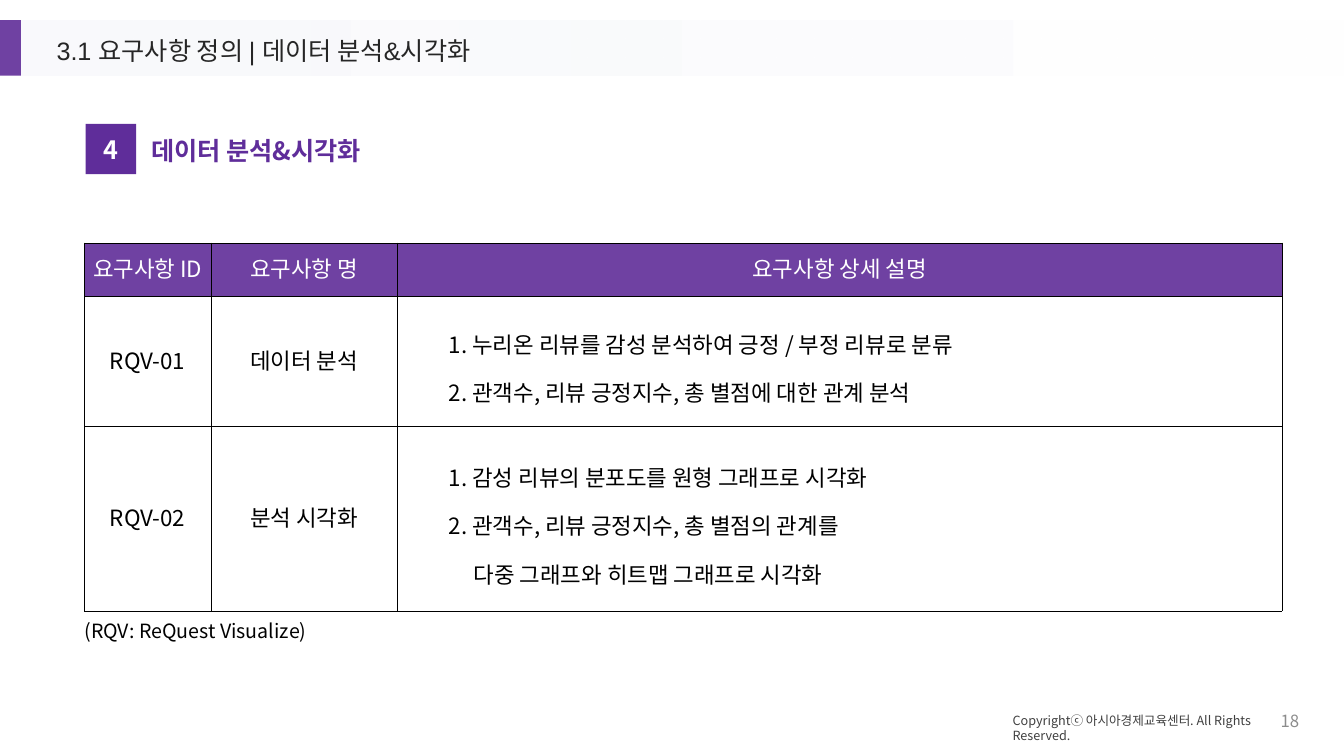
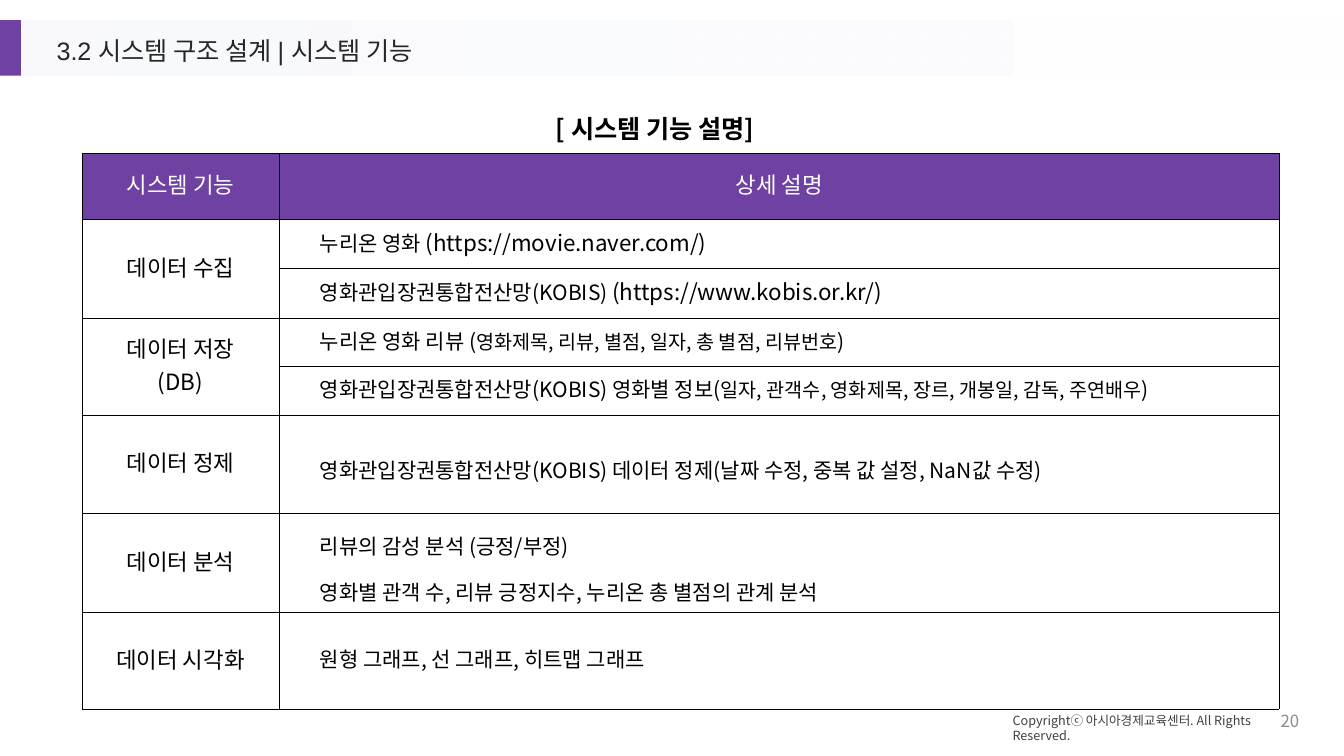
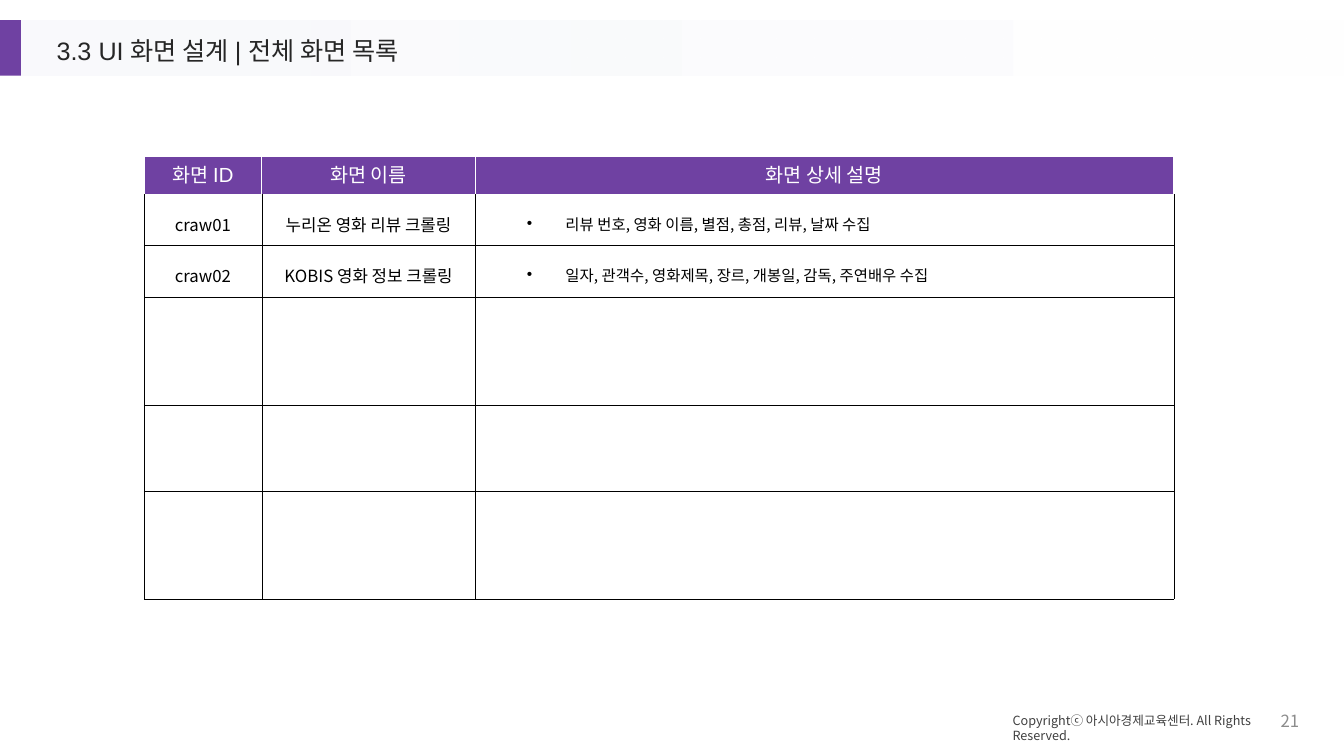
from dataclasses import dataclass

from lxml.etree import SubElement
from pptx import Presentation
from pptx.dml.color import RGBColor
from pptx.enum.shapes import MSO_SHAPE
from pptx.enum.text import MSO_ANCHOR, MSO_AUTO_SIZE, PP_ALIGN
from pptx.oxml.ns import qn
from pptx.util import Cm, Pt

PURPLE = RGBColor(0x6F, 0x41, 0xA2)
DEEP_PURPLE = RGBColor(0x5F, 0x2D, 0x9A)
PALE_BLUE = RGBColor(0xF6, 0xF7, 0xFB)
WHITE = RGBColor(0xFF, 0xFF, 0xFF)
BLACK = RGBColor(0x00, 0x00, 0x00)
TITLE_GREY = RGBColor(0x26, 0x26, 0x26)
FOOTER_GREY = RGBColor(0x40, 0x40, 0x40)
NUMBER_GREY = RGBColor(0x8C, 0x8C, 0x8C)

KOREAN_FONT = "Noto Sans CJK KR"
TITLE_FONT = "Arial"
SCREEN_HEADER_FONT = "Lato"

THIN_BLACK = (BLACK, 0.25)
WHITE_LINE = (WHITE, 1)
COPYRIGHT = "Copyrightⓒ 아시아경제교육센터. All Rights Reserved."


@dataclass
class Line:
    spans: list
    size: float = 16
    color: RGBColor = BLACK
    font: str = KOREAN_FONT
    bold: bool = False
    align: PP_ALIGN = PP_ALIGN.LEFT
    spacing: float = 1
    indent: float = 0
    hang: float = 0
    bullet: str = ""


def label(text, size=16, **look):
    return Line([(text, size)], size, align=PP_ALIGN.CENTER, **look)


def numbered(text, indent=1.27):
    return Line([(text, 16)], spacing=1.5, indent=indent)


def detail(*spans, spacing=1):
    return Line(list(spans), 15, indent=0.99, spacing=spacing)


def bulleted(text):
    return Line([(text, 11)], 11, spacing=1.5, indent=2.24, hang=0.97, bullet="•")


def write_line(para, line):
    properties = para._p.get_or_add_pPr()
    if line.indent:
        properties.set("marL", str(Cm(line.indent)))
        properties.set("indent", str(-Cm(line.hang)))
    para.alignment = line.align
    para.line_spacing = line.spacing
    if line.bullet:
        SubElement(properties, qn("a:buFont"), typeface="Arial")
        SubElement(properties, qn("a:buChar"), char=line.bullet)
    font = para.font
    font.size = Pt(line.size)
    font.bold = line.bold
    font.color.rgb = line.color
    font.name = line.font
    SubElement(properties.find(qn("a:defRPr")), qn("a:ea"), typeface=KOREAN_FONT)
    for text, size in line.spans:
        span = para.add_run()
        span.text = text
        if size != line.size:
            span.font.size = Pt(size)


def write_lines(frame, lines):
    for index, line in enumerate(lines):
        para = frame.add_paragraph() if index else frame.paragraphs[0]
        write_line(para, line)


def add_text(page, place, line, anchor=MSO_ANCHOR.TOP):
    frame = page.shapes.add_textbox(*map(Cm, place)).text_frame
    frame.word_wrap = True
    frame.vertical_anchor = anchor
    write_lines(frame, [line])


def add_block(page, place, color):
    block = page.shapes.add_shape(MSO_SHAPE.RECTANGLE, *map(Cm, place))
    block.shadow.inherit = False
    block.fill.solid()
    block.fill.fore_color.rgb = color
    block.line.fill.background()
    return block


def add_badge(page, place, text):
    badge = add_block(page, place, DEEP_PURPLE)
    badge.text_frame.vertical_anchor = MSO_ANCHOR.MIDDLE
    write_lines(badge.text_frame, [label(text, 18, color=WHITE, bold=True)])


def set_border(cell, side, line):
    color, width = line
    border = SubElement(cell._tc.get_or_add_tcPr(), qn(f"a:ln{side}"), w=str(Pt(width)))
    fill = SubElement(border, qn("a:solidFill"))
    SubElement(fill, qn("a:srgbClr"), val=str(color))


def add_grid(page, corner, widths, heights, rows, header_line=THIN_BLACK):
    table = page.shapes.add_table(
        len(heights), len(widths), *map(Cm, (*corner, sum(widths), sum(heights)))
    ).table
    table.horz_banding = False
    for column, width in zip(table.columns, widths):
        column.width = Cm(width)
    for row_index, (row, height, contents) in enumerate(zip(table.rows, heights, rows)):
        row.height = Cm(height)
        for cell, lines in zip(row.cells, contents):
            cell.vertical_anchor = MSO_ANCHOR.MIDDLE
            cell.margin_left = cell.margin_right = cell.margin_top = Cm(0.03)
            cell.margin_bottom = Cm(0.13)
            for side in "LRTB":
                under_header = row_index == 1 and side == "T"
                set_border(cell, side, header_line if row_index == 0 or under_header else THIN_BLACK)
            if row_index == 0:
                cell.fill.solid()
                cell.fill.fore_color.rgb = PURPLE
            else:
                cell.fill.background()
            write_lines(cell.text_frame, lines)
    return table


def header(*names, size=16, font=KOREAN_FONT):
    return [[label(name, size, color=WHITE, font=font)] for name in names]


def move_bands_to_layout(page, layout):
    band = add_block(page, (0.53, 0.51, 33.34, 1.4), PALE_BLUE)
    band.fill.gradient()
    band.fill.gradient_angle = 0
    for stop, color in zip(band.fill.gradient_stops, (PALE_BLUE, WHITE)):
        stop.color.rgb = color
    pale = next(band.element.iter(qn("a:srgbClr")))
    SubElement(pale, qn("a:alpha"), val="58000")
    accent = add_block(page, (0, 0.51, 0.53, 1.4), PURPLE)
    for index, shape in enumerate((band, accent)):
        shape.element.nvSpPr.cNvPr.id = 20 + index
        layout.shapes.element.insert(2 + index, shape.element)


def place_layout_title(layout):
    title = layout.placeholders[0]
    title.left, title.top, title.width, title.height = map(Cm, (1.17, 0.84, 12.55, 0.99))


def add_page(deck, layout, title, number):
    page = deck.slides.add_slide(layout)
    frame = page.shapes.title.text_frame
    frame.auto_size = MSO_AUTO_SIZE.NONE
    frame.vertical_anchor = MSO_ANCHOR.TOP
    write_lines(frame, [Line([(title, 18)], 18, TITLE_GREY, TITLE_FONT, spacing=0.9)])
    add_text(page, (25.27, 17.83, 7.77, 0.64), Line([(COPYRIGHT, 9)], 9, FOOTER_GREY))
    add_text(page, (31.42, 17.65, 1.57, 1.02),
             Line([(number, 12)], 12, NUMBER_GREY, align=PP_ALIGN.RIGHT), MSO_ANCHOR.MIDDLE)
    return page


def fill_requirements(page):
    add_badge(page, (2.16, 3.12, 1.27, 1.27), "4")
    add_text(page, (3.56, 3.28, 7.21, 1.02),
             Line([("데이터 분석&시각화", 18)], 18, DEEP_PURPLE, bold=True))
    add_grid(page, (2.13, 6.12), (3.18, 4.7, 22.3), (1.35, 3.28, 4.65), [
        header("요구사항 ID", "요구사항 명", "요구사항 상세 설명"),
        [[label("RQV-01")], [label("데이터 분석")], [
            numbered("1. 누리온 리뷰를 감성 분석하여 긍정 / 부정 리뷰로 분류"),
            numbered("2. 관객수, 리뷰 긍정지수, 총 별점에 대한 관계 분석"),
        ]],
        [[label("RQV-02")], [label("분석 시각화")], [
            numbered("1. 감성 리뷰의 분포도를 원형 그래프로 시각화"),
            numbered("2. 관객수, 리뷰 긍정지수, 총 별점의 관계를"),
            numbered("다중 그래프와 히트맵 그래프로 시각화", indent=1.9),
        ]],
    ])
    add_text(page, (1.88, 15.47, 6.99, 0.86), Line([("(RQV: ReQuest Visualize)", 14)], 14))


def fill_functions(page):
    add_text(page, (13.54, 2.72, 5.94, 1.02), label("[ 시스템 기능 설명]", 18, bold=True))
    table = add_grid(
        page, (2.06, 3.86), (4.98, 25.2), (1.65, 1.25, 1.25, 1.22, 1.22, 2.49, 2.49, 2.44), [
            header("시스템 기능", "상세 설명"),
            [[label("데이터 수집")],
             [detail(("누리온 영화 ", 15), ("(https://movie.naver.com/)", 16))]],
            [[], [detail(("영화관입장권통합전산망(KOBIS) ", 15), ("(https://www.kobis.or.kr/)", 16))]],
            [[label("데이터 저장"), label("(DB)")],
             [detail(("누리온 영화 리뷰 (", 15),
                     ("영화제목, 리뷰, 별점, 일자, 총 별점, 리뷰번호", 14), (")", 15))]],
            [[], [detail(("영화관입장권통합전산망(KOBIS) 영화별 정보(", 15),
                         ("일자, 관객수, 영화제목, 장르, 개봉일, 감독, 주연배우", 14), (")", 15))]],
            [[label("데이터 정제")],
             [detail(("영화관입장권통합전산망(KOBIS) 데이터 정제(날짜 수정, 중복 값 설정, NaN값 수정)", 15),
                     spacing=1.5)]],
            [[label("데이터 분석")],
             [detail(("리뷰의 감성 분석 (긍정/부정)", 15), spacing=1.5),
              detail(("영화별 관객 수, 리뷰 긍정지수, 누리온 총 별점의 관계 분석", 15), spacing=1.5)]],
            [[label("데이터 시각화")], [detail(("원형 그래프, 선 그래프, 히트맵 그래프", 15))]],
        ])
    for first in (1, 3):
        table.cell(first, 0).merge(table.cell(first + 1, 0))


def fill_screens(page):
    screens = [
        ("craw01", "누리온 영화 리뷰 크롤링", "리뷰 번호, 영화 이름, 별점, 총점, 리뷰, 날짜 수집"),
        ("craw02", "KOBIS 영화 정보 크롤링", "일자, 관객수, 영화제목, 장르, 개봉일, 감독, 주연배우 수집"),
    ]
    rows = [header("화면 ID", "화면 이름", "화면 상세 설명", size=14, font=SCREEN_HEADER_FONT)]
    for code, name, contents in screens:
        rows.append([[label(code, 12, spacing=1.5)], [label(name, 12, spacing=1.5)],
                     [bulleted(contents)]])
    rows += [[[], [], []]] * 3
    add_grid(page, (3.63, 3.94), (2.97, 5.38, 17.6), (0.97, 1.27, 1.3, 2.72, 2.18, 2.72),
             rows, WHITE_LINE)


def main():
    deck = Presentation()
    deck.slide_width, deck.slide_height = Cm(33.87), Cm(19.05)
    layout = deck.slide_layouts.get_by_name("Title Only")
    place_layout_title(layout)
    requirements = add_page(deck, layout, "3.1 요구사항 정의 | 데이터 분석&시각화", "18")
    move_bands_to_layout(requirements, layout)
    fill_requirements(requirements)
    fill_functions(add_page(deck, layout, "3.2 시스템 구조 설계 | 시스템 기능", "20"))
    fill_screens(add_page(deck, layout, "3.3 UI 화면 설계 | 전체 화면 목록", "21"))
    deck.save("out.pptx")


if __name__ == "__main__":
    main()
